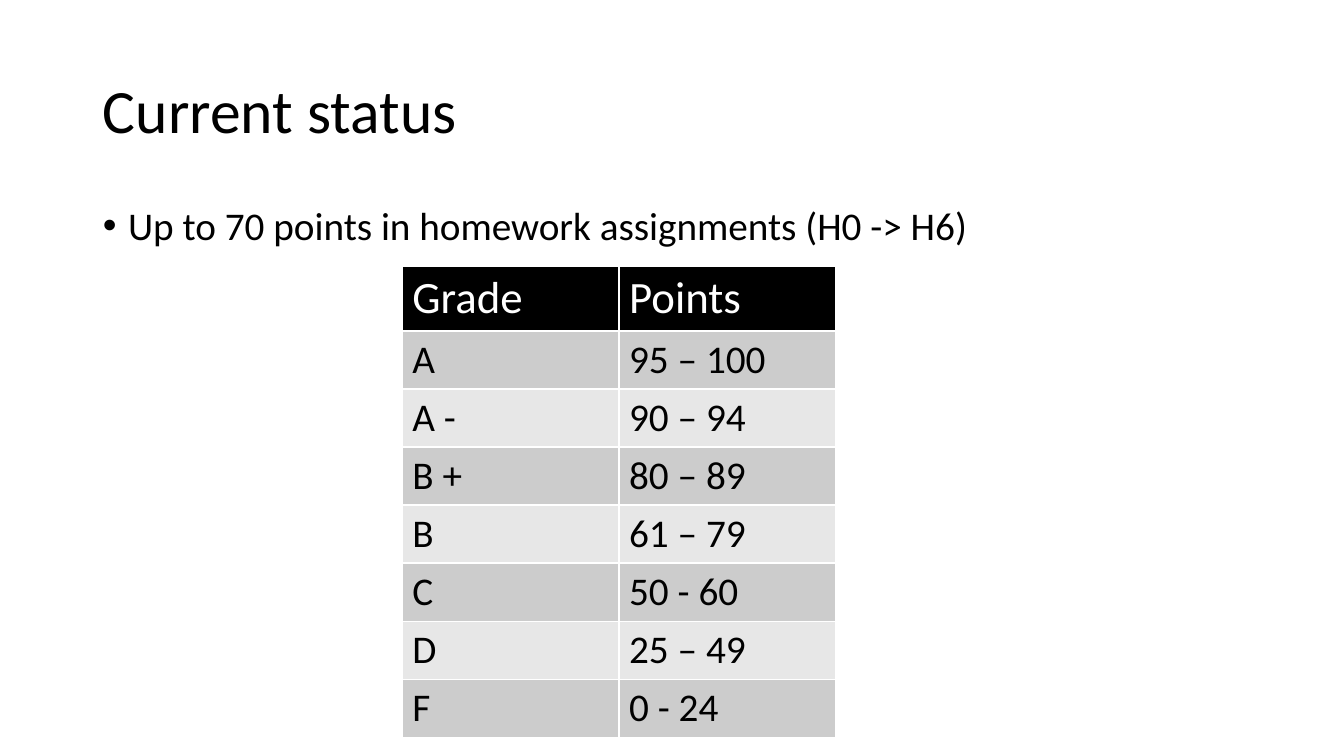
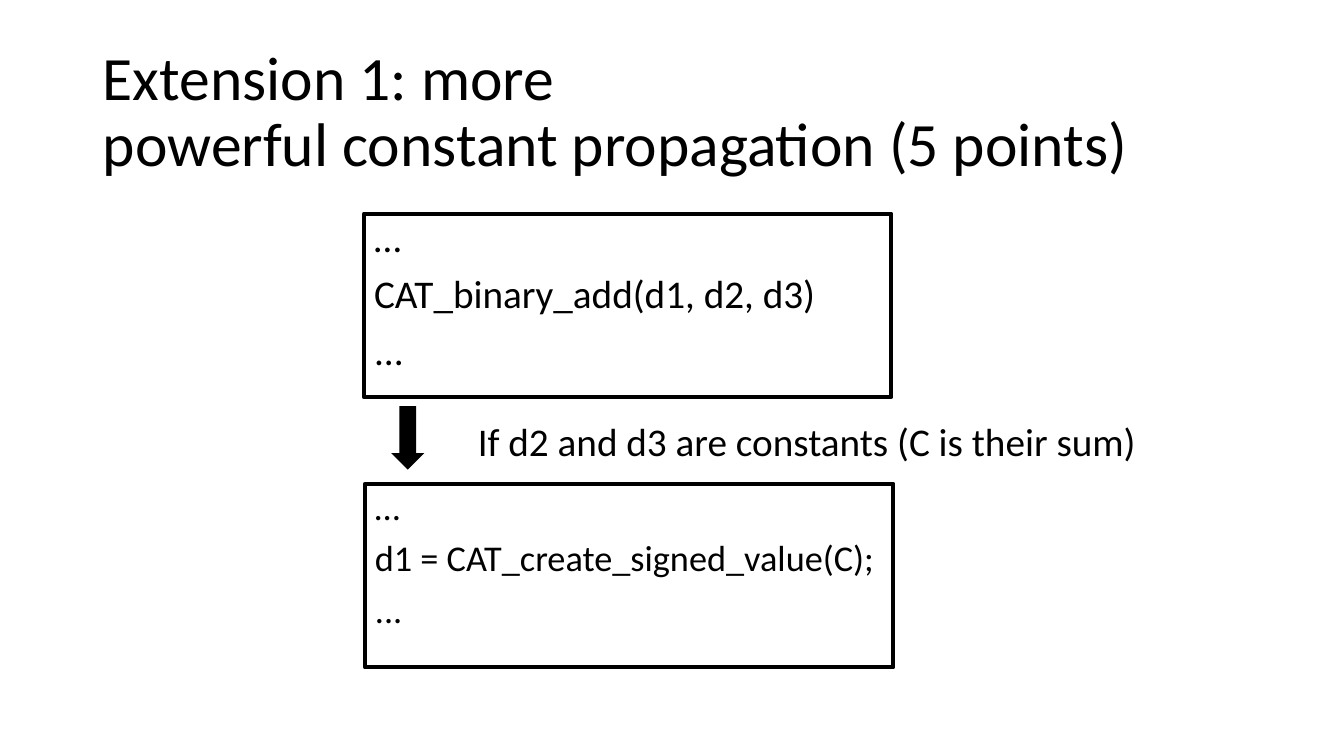
from pptx import Presentation
from pptx.dml.color import RGBColor
from pptx.enum.shapes import MSO_SHAPE
from pptx.enum.text import MSO_ANCHOR, MSO_AUTO_SIZE, PP_ALIGN
from pptx.oxml.xmlchemy import OxmlElement
from pptx.util import Inches, Pt

COLORS = {
    "ink": "000000",
    "paper": "FFFFFF",
    "odd_row": "CCCCCC",
    "even_row": "E7E7E7",
}
FONT = "Calibri"
TITLE_BOX = (0.92, 0.4, 11.5, 1.45)
GRADES = [
    ("Grade", "Points"),
    ("A", "95 – 100"),
    ("A -", "90 – 94"),
    ("B +", "80 – 89"),
    ("B", "61 – 79"),
    ("C", "50 - 60"),
    ("D", "25 – 49"),
    ("F", "0 - 24"),
]


def color(name):
    return RGBColor.from_string(COLORS[name])


def place(shape, box):
    shape.left, shape.top, shape.width, shape.height = map(Inches, box)


def format_text(text_frame, size, color_name="ink", line_spacing=1.0, space_before=0):
    for paragraph in text_frame.paragraphs:
        paragraph.alignment = PP_ALIGN.LEFT
        paragraph.line_spacing = line_spacing
        paragraph.space_before = Pt(space_before)
        for run in paragraph.runs:
            run.font.name = FONT
            run.font.size = Pt(size)
            run.font.bold = False
            run.font.color.rgb = color(color_name)


def set_bullet(paragraph, character=None, indent=0.0):
    """Give the paragraph a hanging bullet, or none if no character is given."""
    properties = paragraph._p.get_or_add_pPr()
    properties.set("marL", str(Inches(indent)))
    properties.set("indent", str(-Inches(indent)))
    bullet = OxmlElement("a:buChar" if character else "a:buNone")
    if character:
        bullet.set("char", character)
    properties.append(bullet)


def add_titled_slide(presentation, title):
    slide = presentation.slides.add_slide(presentation.slide_layouts[1])
    shape = slide.shapes.title
    place(shape, TITLE_BOX)
    text_frame = shape.text_frame
    text_frame.text = title
    text_frame.auto_size = MSO_AUTO_SIZE.NONE
    text_frame.vertical_anchor = MSO_ANCHOR.MIDDLE
    format_text(text_frame, 44, line_spacing=0.9)
    return slide


def fill_body(shape, box, lines, size=28, space_before=10, bullet=None, indent=0.0):
    place(shape, box)
    text_frame = shape.text_frame
    text_frame.text = "\n".join(lines)
    text_frame.word_wrap = True
    text_frame.auto_size = MSO_AUTO_SIZE.NONE
    text_frame.vertical_anchor = MSO_ANCHOR.TOP
    format_text(text_frame, size, line_spacing=0.9, space_before=space_before)
    for paragraph in text_frame.paragraphs:
        set_bullet(paragraph, bullet, indent)


def fill_code_box(shape, box, lines, **text_style):
    fill_body(shape, box, lines, **text_style)
    shape.line.color.rgb = color("ink")
    shape.line.width = Pt(3)


def add_grade_table(slide, box, rows):
    header_height, row_height = 0.64, 0.57
    table = slide.shapes.add_table(len(rows), len(rows[0]), *map(Inches, box)).table
    for row_index, values in enumerate(rows):
        is_header = row_index == 0
        table.rows[row_index].height = Inches(header_height if is_header else row_height)
        row_fill = "ink" if is_header else ("even_row", "odd_row")[row_index % 2]
        for column_index, value in enumerate(values):
            cell = table.cell(row_index, column_index)
            cell.text = value
            cell.fill.solid()
            cell.fill.fore_color.rgb = color(row_fill)
            format_text(cell.text_frame, 32 if is_header else 28,
                        "paper" if is_header else "ink")


def add_condition(slide, box, text):
    """Add a down arrow at the left of the box and the condition beside it."""
    left, top, width, height = box
    arrow_width, text_offset = 0.33, 0.76
    arrow = slide.shapes.add_shape(
        MSO_SHAPE.DOWN_ARROW, *map(Inches, (left, top, arrow_width, height)))
    arrow.shadow.inherit = False
    arrow.fill.solid()
    arrow.fill.fore_color.rgb = color("ink")
    arrow.line.fill.background()

    label = slide.shapes.add_textbox(*map(Inches, (
        left + text_offset, top + 0.06, width - text_offset, height - 0.06)))
    label.text_frame.text = text
    label.text_frame.word_wrap = False
    format_text(label.text_frame, 28)


def build_status_slide(presentation):
    slide = add_titled_slide(presentation, "Current status")
    fill_body(slide.placeholders[1], (0.92, 2, 11.5, 4.76),
              ["Up to 70 points in homework assignments (H0 -> H6)"],
              bullet="•", indent=0.25)
    add_grade_table(slide, (3.99, 2.64, 4.3, 4.6), GRADES)


def build_extension_slide(presentation):
    slide = add_titled_slide(
        presentation, "Extension 1: more \vpowerful constant propagation (5 points)")
    fill_code_box(slide.placeholders[1], (3.61, 2.12, 5.23, 1.82),
                  ["…", "CAT_binary_add(d1, d2, d3)", "..."])
    result_box = slide.shapes.add_textbox(0, 0, 0, 0)
    fill_code_box(result_box, (3.62, 4.8, 5.24, 1.82),
                  ["…", "d1 = CAT_create_signed_value(C);", "..."],
                  size=25.9, space_before=9)
    add_condition(slide, (3.88, 4.03, 7.58, 0.63),
                  "If d2 and d3 are constants (C is their sum)")


def main():
    presentation = Presentation()
    presentation.slide_width = Inches(13.33)
    presentation.slide_height = Inches(7.5)
    build_status_slide(presentation)
    build_extension_slide(presentation)
    presentation.save("out.pptx")


if __name__ == "__main__":
    main()
